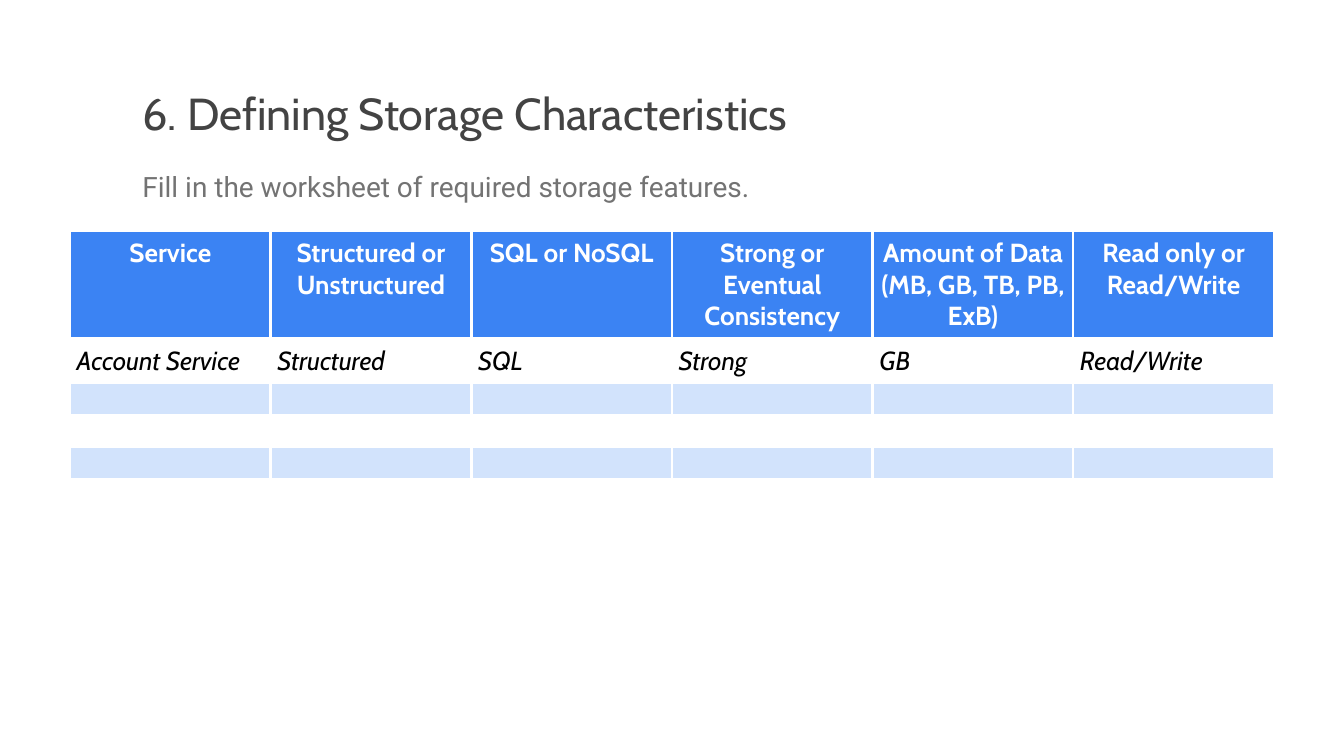
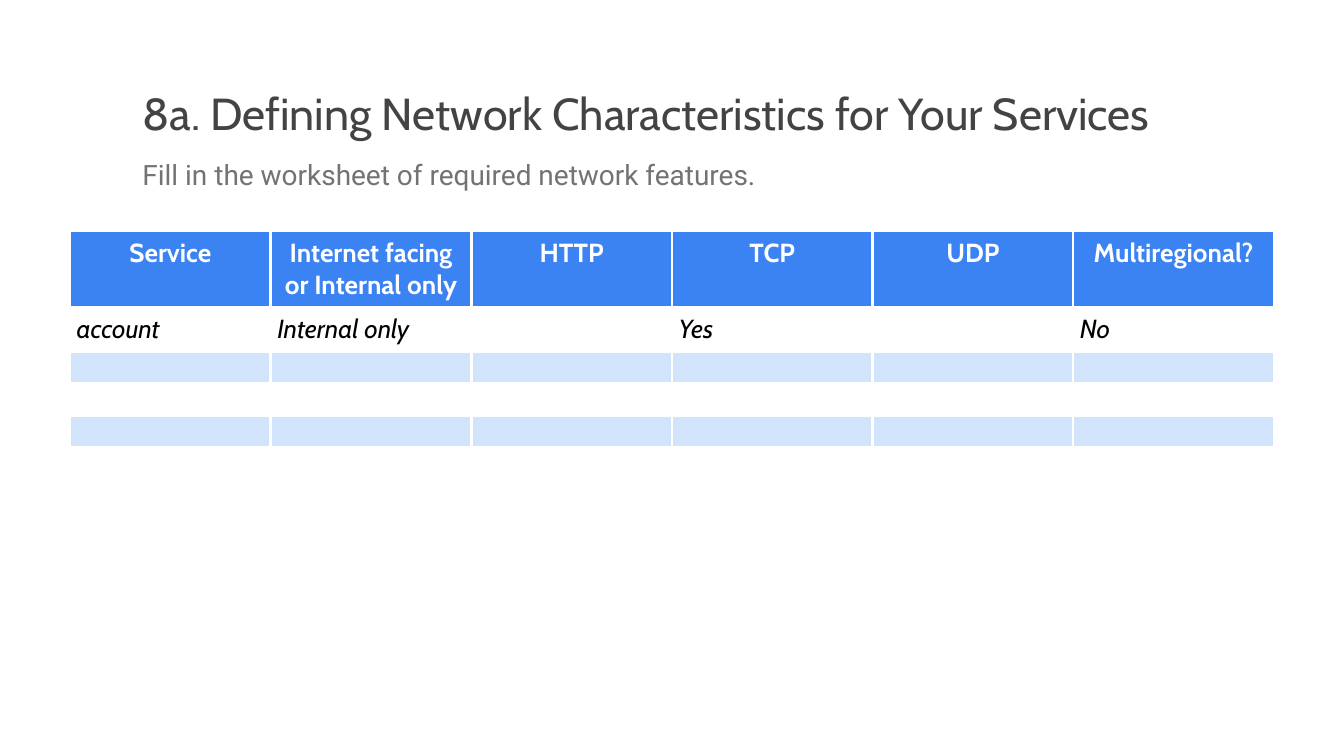
from lxml import etree
from pptx import Presentation
from pptx.dml.color import RGBColor
from pptx.enum.text import MSO_ANCHOR, PP_ALIGN
from pptx.oxml.ns import qn
from pptx.util import Pt

CENTER, LEFT = PP_ALIGN.CENTER, PP_ALIGN.LEFT
TOP = MSO_ANCHOR.TOP

# Content: each subtitle box is (left, top, width, height)
WORKSHEETS = [
    {
        "title": "6. Defining Storage Characteristics",
        "title_width": 1150.5,
        "subtitle": "Fill in the worksheet of required storage features.",
        "subtitle_box": (145.5, 169.25, 1189.5, 53.25),
        "headers": ["Service", "Structured or Unstructured", "SQL or NoSQL",
                    "Strong or Eventual Consistency",
                    "Amount of Data (MB, GB, TB, PB, ExB)",
                    "Read only or Read/Write"],
        "example": ["Account Service", "Structured", "SQL", "Strong", "GB", "Read/Write"],
    },
    {
        "title": "8a. Defining Network Characteristics for Your Services",
        "title_width": 1276.5,
        "subtitle": "Fill in the worksheet of required network features.",
        "subtitle_box": (145.5, 156.25, 983.5, 39.5),
        "headers": ["Service", "Internet facing or Internal only", "HTTP", "TCP",
                    "UDP", "Multiregional?"],
        "example": ["account", "Internal only", "", "Yes", "", "No"],
    },
]

# Shared style
SLIDE_WIDTH, SLIDE_HEIGHT = 1440, 810
TITLE_LEFT, TITLE_TOP, TITLE_HEIGHT = 145.5, 85, 85
TABLE_LEFT, TABLE_TOP = 75, 247
COLUMN_WIDTH, ROW_HEIGHT = 215, 34.3
BLANK_ROWS = 4
INSET = 7.2
BORDER_WIDTH = 3
HEADING_FONT, BODY_FONT = "Cabin", "Roboto"
TITLE_COLOR, SUBTITLE_COLOR = "434343", "737373"
HEADER_FILL, BAND_FILL = "3B83F3", "D2E3FC"
WHITE, BLACK = "FFFFFF", "000000"


def color(hex_string):
    return RGBColor.from_string(hex_string)


def set_insets(target):
    target.margin_left = target.margin_right = Pt(INSET)
    target.margin_top = target.margin_bottom = Pt(INSET)


def write(text_frame, text, font_name, size, hex_color, align=LEFT, bold=False, italic=False):
    text_frame.text = text
    paragraph = text_frame.paragraphs[0]
    paragraph.alignment = align
    for run in paragraph.runs:
        font = run.font
        font.name, font.size = font_name, Pt(size)
        font.bold, font.italic = bold, italic
        font.color.rgb = color(hex_color)
    return paragraph


def add_text(slide, box, text, font_name, size, hex_color):
    text_frame = slide.shapes.add_textbox(*map(Pt, box)).text_frame
    text_frame.word_wrap = True
    text_frame.vertical_anchor = TOP
    set_insets(text_frame)
    return write(text_frame, text, font_name, size, hex_color)


def set_borders(cell):
    properties = cell._tc.get_or_add_tcPr()
    for position, side in enumerate(("lnL", "lnR", "lnT", "lnB")):
        line = etree.Element(qn(f"a:{side}"), w=str(Pt(BORDER_WIDTH)))
        fill = etree.SubElement(line, qn("a:solidFill"))
        etree.SubElement(fill, qn("a:srgbClr"), val=WHITE)
        properties.insert(position, line)


def add_worksheet_table(slide, headers, example):
    columns = len(headers)
    rows = [headers, example] + [[""] * columns] * BLANK_ROWS
    table = slide.shapes.add_table(
        len(rows), columns, Pt(TABLE_LEFT), Pt(TABLE_TOP),
        Pt(COLUMN_WIDTH * columns), Pt(ROW_HEIGHT * len(rows))).table
    table.first_row = table.horz_banding = False
    for column in table.columns:
        column.width = Pt(COLUMN_WIDTH)

    for row_index, row in enumerate(rows):
        table.rows[row_index].height = Pt(ROW_HEIGHT)
        is_header = row_index == 0
        for column_index, text in enumerate(row):
            cell = table.cell(row_index, column_index)
            # Header and every second row below it are filled
            if row_index % 2 == 0:
                cell.fill.solid()
                cell.fill.fore_color.rgb = color(HEADER_FILL if is_header else BAND_FILL)
            else:
                cell.fill.background()
            set_borders(cell)
            if text:
                set_insets(cell)
                write(cell.text_frame, text, HEADING_FONT, 28,
                      WHITE if is_header else BLACK,
                      CENTER if is_header else LEFT,
                      bold=is_header, italic=not is_header)


def add_worksheet(presentation, worksheet):
    slide = presentation.slides.add_slide(presentation.slide_layouts[6])
    title_box = (TITLE_LEFT, TITLE_TOP, worksheet["title_width"], TITLE_HEIGHT)
    add_text(slide, title_box, worksheet["title"], HEADING_FONT, 48, TITLE_COLOR)
    subtitle = add_text(slide, worksheet["subtitle_box"], worksheet["subtitle"],
                        BODY_FONT, 30, SUBTITLE_COLOR)
    subtitle.line_spacing = 1.15
    subtitle.space_after = Pt(16)
    add_worksheet_table(slide, worksheet["headers"], worksheet["example"])


def main():
    presentation = Presentation()
    presentation.slide_width, presentation.slide_height = Pt(SLIDE_WIDTH), Pt(SLIDE_HEIGHT)
    for worksheet in WORKSHEETS:
        add_worksheet(presentation, worksheet)
    presentation.save("out.pptx")


if __name__ == "__main__":
    main()
